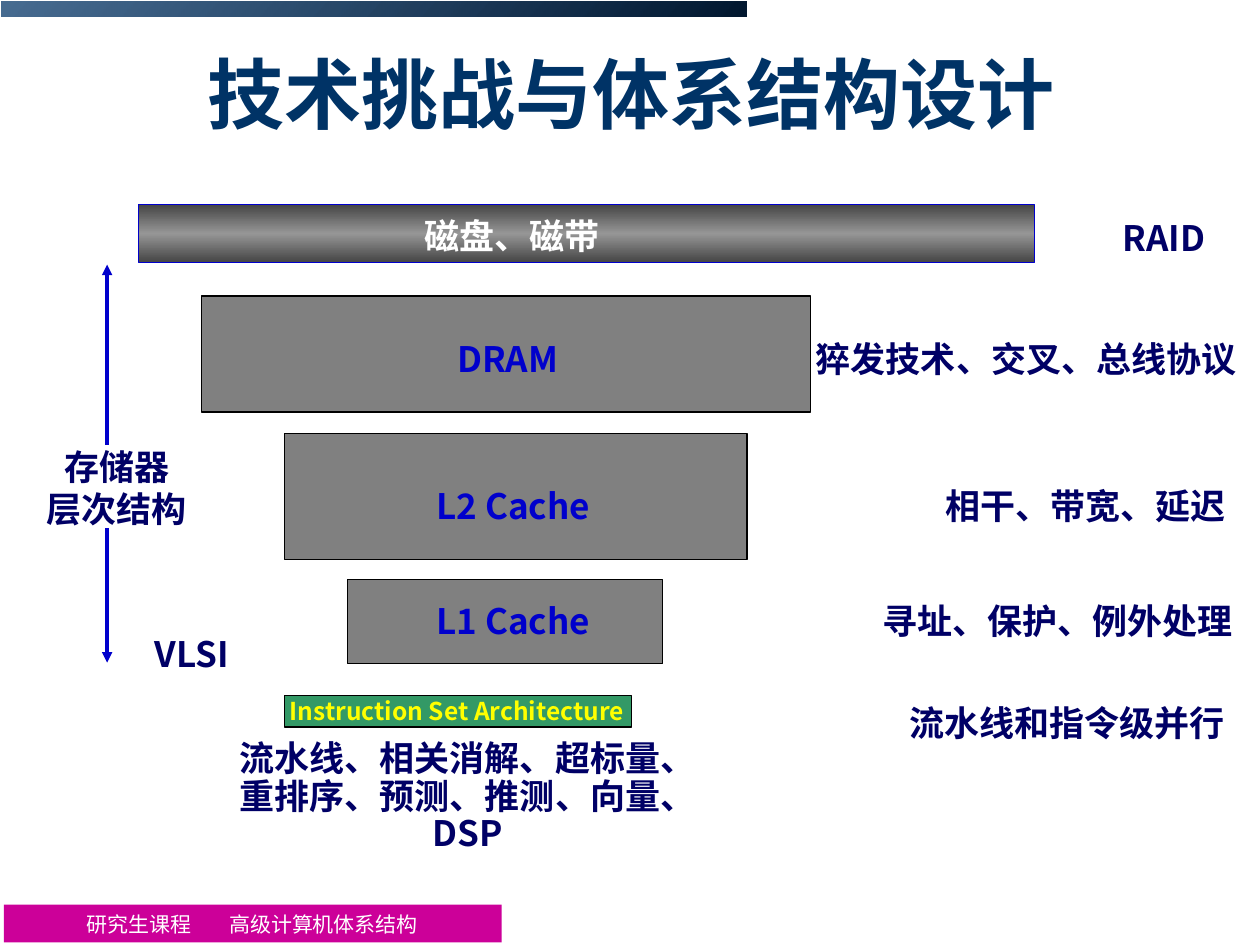
from pptx import Presentation
from pptx.dml.color import RGBColor
from pptx.enum.shapes import MSO_CONNECTOR as CONN, MSO_SHAPE as SHAPE
from pptx.enum.text import MSO_ANCHOR as ANCHOR, MSO_AUTO_SIZE as FIT, PP_ALIGN as ALIGN
from pptx.oxml import parse_xml
from pptx.oxml.ns import nsdecls, qn
from pptx.util import Pt
from lxml import etree

C = {
    "title": "003366", "title_dark": "00172F", "footer": "CC0099", "text": "000066",
    "blue": "0000CC", "gray": "808080", "steel": "454545", "shine": "969696",
    "green": "339966", "yellow": "FFFF00", "white": "FFFFFF", "black": "000000",
}
CJK = "Noto Sans CJK SC"

prs = Presentation()
prs.slide_width, prs.slide_height = Pt(720), Pt(540)
s = prs.slides.add_slide(prs.slide_layouts[6])


def add_rect(x, y, w, h, fill=None, line=None, line_width=0.75, stops=(), angle=0):
    """Add a rectangle with a solid fill, or a gradient of (percent, colour, opacity) stops."""
    sp = s.shapes.add_shape(SHAPE.RECTANGLE, Pt(x), Pt(y), Pt(w), Pt(h))
    sp.shadow.inherit = False
    if line:
        sp.line.color.rgb = RGBColor.from_string(C[line])
        sp.line.width = Pt(line_width)
    else:
        sp.line.fill.background()
    if fill:
        sp.fill.solid()
        sp.fill.fore_color.rgb = RGBColor.from_string(C[fill])
    else:
        sp.fill.gradient()
        grad = sp._element.spPr.find(qn("a:gradFill"))
        gs = "".join(
            f'<a:gs pos="{pos * 1000}"><a:srgbClr val="{C[color]}">'
            f'<a:alpha val="{alpha * 1000}"/></a:srgbClr></a:gs>'
            for pos, color, alpha in stops)
        grad.getparent().replace(grad, parse_xml(
            f'<a:gradFill {nsdecls("a")} rotWithShape="1"><a:gsLst>{gs}</a:gsLst>'
            f'<a:lin ang="{angle * 60000}" scaled="0"/></a:gradFill>'))
    return sp


def add_text(text, x, y, w, h, color="text", size=20, font=CJK, bold=True, align=ALIGN.LEFT,
             spacing=0.9, inset=(5, 2.2), anchor=ANCHOR.TOP):
    """Add a text box; each line of text becomes a paragraph, \\v breaks a line."""
    sp = s.shapes.add_textbox(Pt(x), Pt(y), Pt(w), Pt(h))
    tf = sp.text_frame
    tf.word_wrap = True
    tf.auto_size = FIT.NONE
    tf.vertical_anchor = anchor
    tf.margin_left = tf.margin_right = Pt(inset[0])
    tf.margin_top = tf.margin_bottom = Pt(inset[1])
    tf.text = text
    for p in tf.paragraphs:
        p.alignment = align
        p.line_spacing = spacing
        for r in p.runs:
            r.font.size, r.font.bold, r.font.name = Pt(size), bold, font
            r.font.color.rgb = RGBColor.from_string(C[color])
            etree.SubElement(r._r.get_or_add_rPr(), qn("a:ea")).set("typeface", CJK)
    return sp


# Top band, footer and title
add_rect(1, 1, 425.5, 8.6, stops=[(0, "title", 72), (100, "title_dark", 100)], angle=45)
add_rect(2.2, 517, 284.4, 21.6, "footer")
footer = add_text("研究生课程\t高级计算机体系结构", 2.2, 517, 284.4, 21.6, "white", 12,
                  font="Times New Roman", bold=False, spacing=1, inset=(47, 0),
                  anchor=ANCHOR.MIDDLE)
footer.text_frame.margin_right = Pt(0)
pPr = footer.text_frame.paragraphs[0]._p.get_or_add_pPr()
pPr.append(parse_xml(f'<a:tabLst {nsdecls("a")}><a:tab pos="{Pt(81.7)}" algn="l"/></a:tabLst>'))
add_text("技术挑战与体系结构设计", 36.7, 20.2, 648, 62.6, "title", 44, font="Arial",
         align=ALIGN.CENTER, spacing=1, inset=(7.2, 3.6), anchor=ANCHOR.BOTTOM)

# Memory levels, from the largest to the smallest
add_rect(79.2, 116.9, 511.9, 33.1, line="blue", line_width=1, angle=90,
         stops=[(0, "steel", 100), (50, "shine", 100), (100, "steel", 100)])
levels = [
    (115.2, 169.2, 347.8, 66.2, "gray"),
    (162.7, 247.7, 264.2, 72, "gray"),
    (198.7, 331.2, 180, 48.2, "gray"),
    (162.7, 397.4, 198, 18, "green"),
]
for x, y, w, h, fill in levels:
    add_rect(x, y, w, h, fill, "black")

level_names = [
    ("磁盘、磁带", 237.6, 123.1, 114, "white"),
    ("DRAM", 256.3, 193.2, 74, "blue"),
    ("L2 Cache", 244.4, 277.2, 102, "blue"),
    ("L1 Cache", 244.4, 343, 102, "blue"),
]
for name, x, y, w, color in level_names:
    add_text(name, x, y, w, 25.9, color)
add_text("Instruction Set Architecture", 160.6, 397.4, 210, 19.4, "yellow", 14)

# Techniques beside the levels
techniques = [
    ("RAID", 636.5, 124.2, 63),
    ("猝发技术、交叉、总线协议", 461.2, 193.2, 254),
    ("相干、带宽、延迟", 535.3, 277.2, 174),
    ("寻址、保护、例外处理", 499, 343, 214),
    ("VLSI", 83.5, 362.2, 57),
]
for name, x, y, w in techniques:
    add_text(name, x, y, w, 25.9)
add_text("流水线和指令级并行", 512.6, 397.4, 198, 31, spacing=1, inset=(7.2, 3.6))
add_text("流水线、相关消解、超标量、\n重排序、预测、推测、向量、\vDSP",
         110.2, 421.2, 313.9, 68, align=ALIGN.CENTER)

# Hierarchy label with an arrow up and an arrow down
add_text("存储器\n层次结构", 17.7, 251.3, 98, 54.7, align=ALIGN.CENTER,
         spacing=1, inset=(7.2, 3.6))
for start, end in [(254.2, 151.2), (301.7, 378.7)]:
    arrow = s.shapes.add_connector(CONN.STRAIGHT, Pt(61.2), Pt(start), Pt(61.2), Pt(end))
    arrow.line.color.rgb = RGBColor.from_string(C["blue"])
    arrow.line.width = Pt(2)
    etree.SubElement(arrow.line._get_or_add_ln(), qn("a:tailEnd")).set("type", "triangle")
    etree.SubElement(arrow._element.spPr, qn("a:effectLst"))

prs.save("out.pptx")
